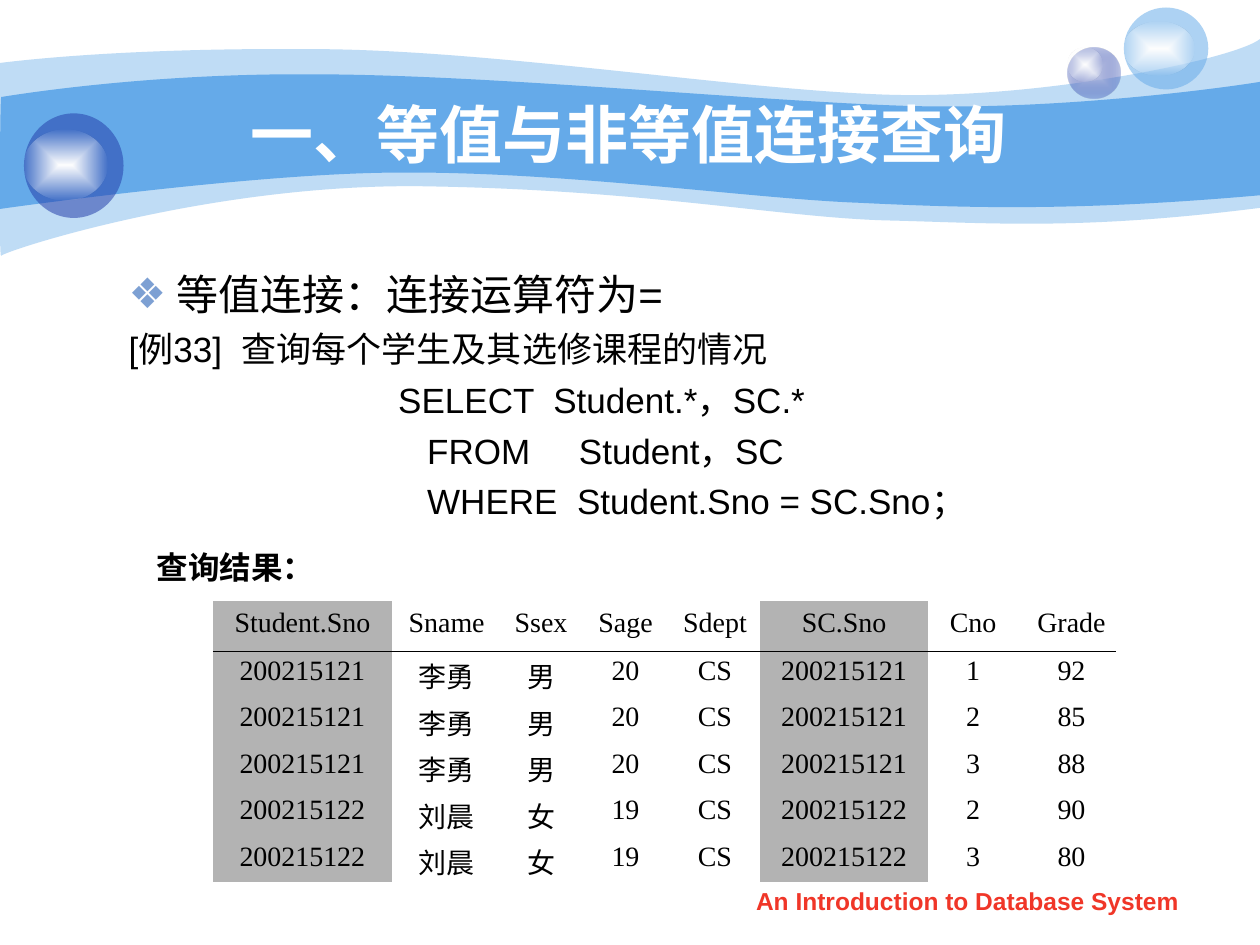
from lxml.etree import SubElement
from pptx import Presentation
from pptx.dml.color import RGBColor
from pptx.enum.shapes import MSO_CONNECTOR, MSO_SHAPE
from pptx.enum.text import MSO_ANCHOR, MSO_AUTO_SIZE, PP_ALIGN
from pptx.oxml.ns import qn
from pptx.util import Inches, Pt

SKY = RGBColor(0x65, 0xAA, 0xE9)
NAVY = RGBColor(0x23, 0x3D, 0xA9)
MIST = RGBColor(0xC6, 0xCC, 0xE8)
WHITE = RGBColor(0xFF, 0xFF, 0xFF)
BLACK = RGBColor(0, 0, 0)
GREY = RGBColor(0xB3, 0xB3, 0xB3)
RED = RGBColor(0xF0, 0x36, 0x28)
BULLET = RGBColor(0x7D, 0xA0, 0xD3)
SANS, SERIF = "Arial", "Times New Roman"
PLAIN = "{2D5ABB26-0587-4C30-8999-92F81FD0307C}"  # table style without grid

TITLE = "一、等值与非等值连接查询"
# text, size, space before, left margin, first-line indent, bullet
BODY = [
    ("等值连接：连接运算符为=", 24, 6, 0.38, -0.38, "❖"),
    ("[例33]  查询每个学生及其选修课程的情况", 20, 5, 0.38, -0.38, None),
    ("SELECT  Student.*，SC.*", 20, 5, 2.14, 0, None),
    ("FROM     Student，SC", 20, 5, 2.37, 0, None),
    ("WHERE  Student.Sno = SC.Sno；", 20, 5, 2.37, 0, None),
]
RESULT = "查询结果："
FOOTER = "An Introduction to Database System"
ROWS = [
    ("Student.Sno", "Sname", "Ssex", "Sage", "Sdept", "SC.Sno", "Cno", "Grade"),
    ("200215121", "李勇", "男", "20", "CS", "200215121", "1", "92"),
    ("200215121", "李勇", "男", "20", "CS", "200215121", "2", "85"),
    ("200215121", "李勇", "男", "20", "CS", "200215121", "3", "88"),
    ("200215122", "刘晨", "女", "19", "CS", "200215122", "2", "90"),
    ("200215122", "刘晨", "女", "19", "CS", "200215122", "3", "80"),
]
WIDTHS = [1.42, 0.87, 0.63, 0.71, 0.71, 1.34, 0.71, 0.85]
KEYS = (0, 5)  # shaded join columns

# Each wave in hundredths of an inch: opacity, start, then
# curves (two handles and an end) and lines (an end)
WAVES = [
    (41, (0, 50), [
        (24, 47, 107, 38, 247, 39), (386, 39, 575, 70, 699, 75),
        (822, 80, 980, 47, 1000, 31), (1000, 165),
        (858, 183, 787, 177, 705, 175), (622, 173, 515, 151, 343, 148),
        (172, 144, 4, 199, 1, 203), (-1, 208, 0, 75, 0, 50)]),
    (100, (1, 77), [
        (2, 77, 110, 58, 248, 59), (386, 59, 595, 80, 718, 84),
        (841, 88, 976, 69, 1000, 65), (1000, 155),
        (853, 168, 765, 165, 682, 161), (599, 158, 447, 136, 317, 137),
        (203, 137, -2, 166, -1, 166), (0, 166, 0, 77, 1, 77)]),
]
# Each ball: place, colour stops (one is solid), place of its shine
BALLS = [
    ((8.47, 0.38, 0.42, 0.4), [(MIST, 100), (NAVY, 31)], (8.47, 0.38, 0.28, 0.27)),
    ((8.92, 0.06, 0.67, 0.65), [(SKY, 53)], (8.92, 0.17, 0.56, 0.43)),
    ((0.19, 0.9, 0.79, 0.83), [(NAVY, 53)], (0.19, 1.03, 0.66, 0.56)),
]
SHINE = [(WHITE, 100), (WHITE, 0)]

deck = Presentation()
deck.slide_width, deck.slide_height = Inches(10), Inches(7.5)
slide = deck.slides.add_slide(deck.slide_layouts[1])
shapes = slide.shapes


def node(top, tag, **attrs):
    return SubElement(top, qn(tag), {k: str(v) for k, v in attrs.items()})


def tint(top, color, alpha):
    node(node(top, "a:srgbClr", val=color), "a:alpha", val=alpha * 1000)


def paint(shape, stops):
    """Fill with one colour, or with a gradient that spreads from the centre."""
    shape.shadow.inherit = False
    shape.line.fill.background()
    shape.fill.solid()
    solid = shape._element.spPr.find(qn("a:solidFill"))
    if len(stops) == 1:
        tint(solid, *stops[0])
        return
    grad = solid.makeelement(qn("a:gradFill"), {"rotWithShape": "1"})
    marks = node(grad, "a:gsLst")
    for i, stop in enumerate(stops):
        tint(node(marks, "a:gs", pos=i * 100000), *stop)
    mid = dict.fromkeys("ltrb", 50000)
    node(node(grad, "a:path", path="rect"), "a:fillToRect", **mid)
    solid.getparent().replace(solid, grad)


def wave(start, parts):
    """Join the ends by lines, then bend those lines that have handles."""
    ends = [part[-2:] for part in parts]
    pen = shapes.build_freeform(*start, scale=Inches(0.01))
    pen.add_line_segments(ends, close=True)
    shape = pen.convert_to_shape()
    left, top = (min(axis) for axis in zip(start, *ends))
    lines = list(shape._element.iter(qn("a:lnTo")))
    for line, part in zip(lines, parts):
        if len(part) == 6:
            bend = line.makeelement(qn("a:cubicBezTo"), {})
            for x, y in zip(part[::2], part[1::2]):
                node(bend, "a:pt", x=x - left, y=y - top)
            line.getparent().replace(line, bend)
    return shape


def place(shape, *box):
    shape.left, shape.top, shape.width, shape.height = map(Inches, box)


def write(para, text, size, font=SANS, color=BLACK, bold=False, align=PP_ALIGN.CENTER):
    para.alignment = align
    run = para.add_run()
    run.text = text
    run.font.size, run.font.name, run.font.bold = Pt(size), font, bold
    run.font.color.rgb = color


def label(box, wrap, *style):
    frame = shapes.add_textbox(*map(Inches, box)).text_frame
    frame.word_wrap = wrap
    write(frame.paragraphs[0], *style)


# Waves and balls of the banner
for alpha, start, parts in WAVES:
    paint(wave(start, parts), [(SKY, alpha)])
for box, stops, glow in BALLS:
    for area, fill in ((box, stops), (glow, SHINE)):
        paint(shapes.add_shape(MSO_SHAPE.OVAL, *map(Inches, area)), fill)

# Title and body, raised above the banner
title, body = shapes.title, slide.placeholders[1]
for holder in (title, body):
    shapes._spTree.append(holder._element)
    holder.text_frame.auto_size = MSO_AUTO_SIZE.NONE
place(title, 1, 0.75, 7.98, 0.62)
title.text_frame.vertical_anchor = MSO_ANCHOR.MIDDLE
write(title.text_frame.paragraphs[0], TITLE, 36, SANS, WHITE, True)

place(body, 0.92, 2.08, 8.42, 2.37)
frame = body.text_frame
for i, (text, size, gap, left, first, mark) in enumerate(BODY):
    para = frame.add_paragraph() if i else frame.paragraphs[0]
    write(para, text, size, align=PP_ALIGN.LEFT)
    para.space_before = Pt(gap)
    props = para._p.get_or_add_pPr()
    props.set("marL", str(Inches(left)))
    props.set("indent", str(Inches(first)))
    if mark:
        node(node(props, "a:buClr"), "a:srgbClr", val=BULLET)
        node(props, "a:buChar", char=mark)
    else:
        node(props, "a:buNone")

# Query result
label((0.77, 4.3, 2.2, 0.4), False, RESULT, 18, SERIF, BLACK, True)
area = map(Inches, (1.69, 4.77, sum(WIDTHS), 2.23))
table = shapes.add_table(len(ROWS), len(WIDTHS), *area).table
table.first_row = table.horz_banding = False
table._tbl.tblPr.find(qn("a:tableStyleId")).text = PLAIN
for col, width in zip(table.columns, WIDTHS):
    col.width = Inches(width)
for r, row in enumerate(ROWS):
    table.rows[r].height = Inches(0.37 if r else 0.38)
    for c, text in enumerate(row):
        cell = table.cell(r, c)
        write(cell.text_frame.paragraphs[0], text, 16, SERIF)
        if c in KEYS:
            cell.fill.solid()
            cell.fill.fore_color.rgb = GREY
        else:
            cell.fill.background()

# Rule under the table head
ends = map(Inches, (1.69, 5.17, 8.86, 5.17))
rule = shapes.add_connector(MSO_CONNECTOR.STRAIGHT, *ends)
rule.line.color.rgb, rule.line.width = BLACK, Pt(0.75)
node(rule._element.spPr, "a:effectLst")

# Footer
label((5.71, 6.98, 3.94, 0.35), True, FOOTER, 14, SANS, RED, True)

deck.save("out.pptx")
